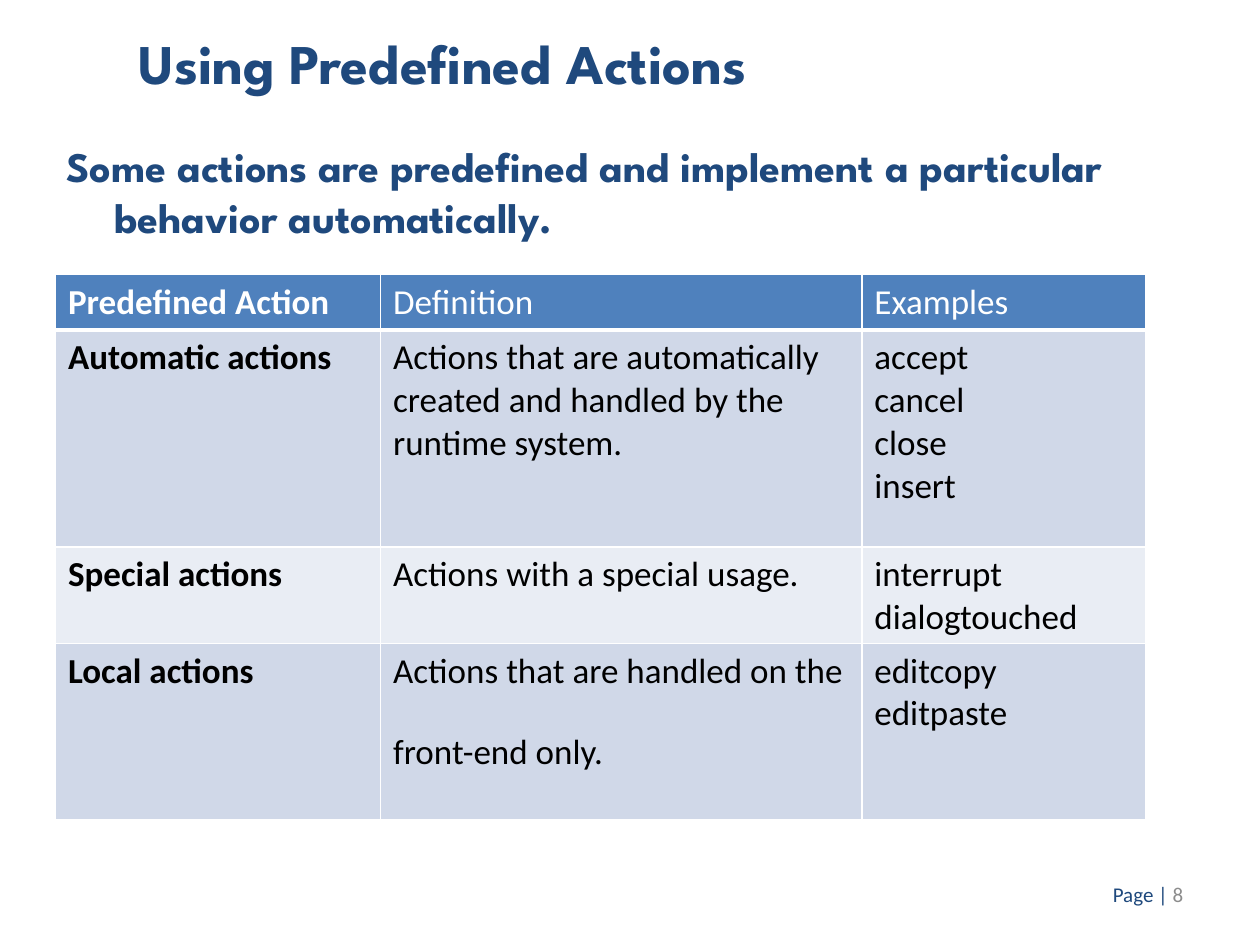
from lxml.etree import SubElement
from pptx import Presentation
from pptx.dml.color import RGBColor
from pptx.enum.text import MSO_ANCHOR, PP_ALIGN
from pptx.oxml.ns import qn
from pptx.util import Inches, Pt

NAVY, BLUE, WHITE, BLACK, GREY = "1F497D", "4F81BD", "FFFFFF", "000000", "8C8C8C"
BANDS = ("D0D8E8", "E9EDF4")
HEADING_FONT, BODY_FONT = "League Spartan", "Calibri"

COLUMN_WIDTHS = (2.58, 3.82, 2.25)
ROW_HEIGHTS = (0.44, 1.72, 0.75, 1.4)
HEADER = ("Predefined Action", "Definition", "Examples")
ACTIONS = (
    ("Automatic actions",
     "Actions that are automatically created and handled by the runtime system.",
     ("accept", "cancel", "close", "insert")),
    ("Special actions", "Actions with a special usage.",
     ("interrupt", "dialogtouched")),
    ("Local actions", "Actions that are handled on the \nfront-end only.",
     ("editcopy", "editpaste")),
)


def rgb(value):
    return RGBColor.from_string(value)


def add_run(paragraph, text, size, font, color, bold=False):
    """Add the text in one style, with a line break at each newline."""
    for index, line in enumerate(text.split("\n")):
        if index:
            paragraph.add_line_break()
        run = paragraph.add_run()
        run.text = line
        run.font.size, run.font.name, run.font.bold = Pt(size), font, bold
        run.font.color.rgb = rgb(color)


def add_text_frame(slide, box):
    frame = slide.shapes.add_textbox(*map(Inches, box)).text_frame
    frame.word_wrap = True
    return frame


def add_heading(slide, box, text, size, hanging=0):
    paragraph = add_text_frame(slide, box).paragraphs[0]
    if hanging:
        properties = paragraph._p.get_or_add_pPr()
        properties.set("marL", str(Inches(hanging)))
        properties.set("indent", str(-Inches(hanging)))
    add_run(paragraph, text, size, HEADING_FONT, NAVY, bold=True)


def add_page_number(slide, box, number):
    frame = add_text_frame(slide, box)
    frame.vertical_anchor = MSO_ANCHOR.MIDDLE
    paragraph = frame.paragraphs[0]
    paragraph.alignment = PP_ALIGN.RIGHT
    add_run(paragraph, "Page | ", 12, BODY_FONT, NAVY)
    add_run(paragraph, number, 12, BODY_FONT, GREY)


def set_borders(cell, bottom):
    properties = cell._tc.get_or_add_tcPr()
    for index, (side, width) in enumerate(
            (("lnL", 1), ("lnR", 1), ("lnT", 1), ("lnB", bottom))):
        line = properties.makeelement(qn(f"a:{side}"), {"w": str(Pt(width))})
        fill = SubElement(line, qn("a:solidFill"))
        SubElement(fill, qn("a:srgbClr"), val=WHITE)
        properties.insert(index, line)


def fill_cell(cell, lines, fill, color, bold, bottom=1):
    cell.fill.solid()
    cell.fill.fore_color.rgb = rgb(fill)
    set_borders(cell, bottom)
    frame = cell.text_frame
    for index, line in enumerate(lines):
        paragraph = frame.add_paragraph() if index else frame.paragraphs[0]
        add_run(paragraph, line, 20, BODY_FONT, color, bold)


def add_actions_table(slide, left, top):
    size = sum(COLUMN_WIDTHS), sum(ROW_HEIGHTS)
    table = slide.shapes.add_table(
        len(ROW_HEIGHTS), len(COLUMN_WIDTHS),
        *map(Inches, (left, top, *size))).table
    for column, width in zip(table.columns, COLUMN_WIDTHS):
        column.width = Inches(width)
    for row, height in zip(table.rows, ROW_HEIGHTS):
        row.height = Inches(height)
    for column, label in enumerate(HEADER):
        fill_cell(table.cell(0, column), [label], BLUE, WHITE, column == 0, bottom=3)
    for row, (action, definition, examples) in enumerate(ACTIONS, start=1):
        band = BANDS[(row - 1) % 2]
        for column, lines in enumerate(([action], [definition], examples)):
            fill_cell(table.cell(row, column), lines, band, BLACK, column == 0)


def main():
    deck = Presentation()
    deck.slide_width, deck.slide_height = Inches(10), Inches(7.5)
    slide = deck.slides.add_slide(deck.slide_layouts[6])
    add_page_number(slide, (7.16, 6.9, 2.33, 0.4), "8")
    add_heading(slide, (1, 0.18, 7.78, 0.9), "Using Predefined Actions", 32)
    add_heading(
        slide, (0.43, 1.07, 9, 5.37),
        "Some actions are predefined and implement a particular behavior automatically.",
        24, hanging=0.38)
    add_actions_table(slide, 0.44, 2.18)
    deck.save("out.pptx")


if __name__ == "__main__":
    main()
